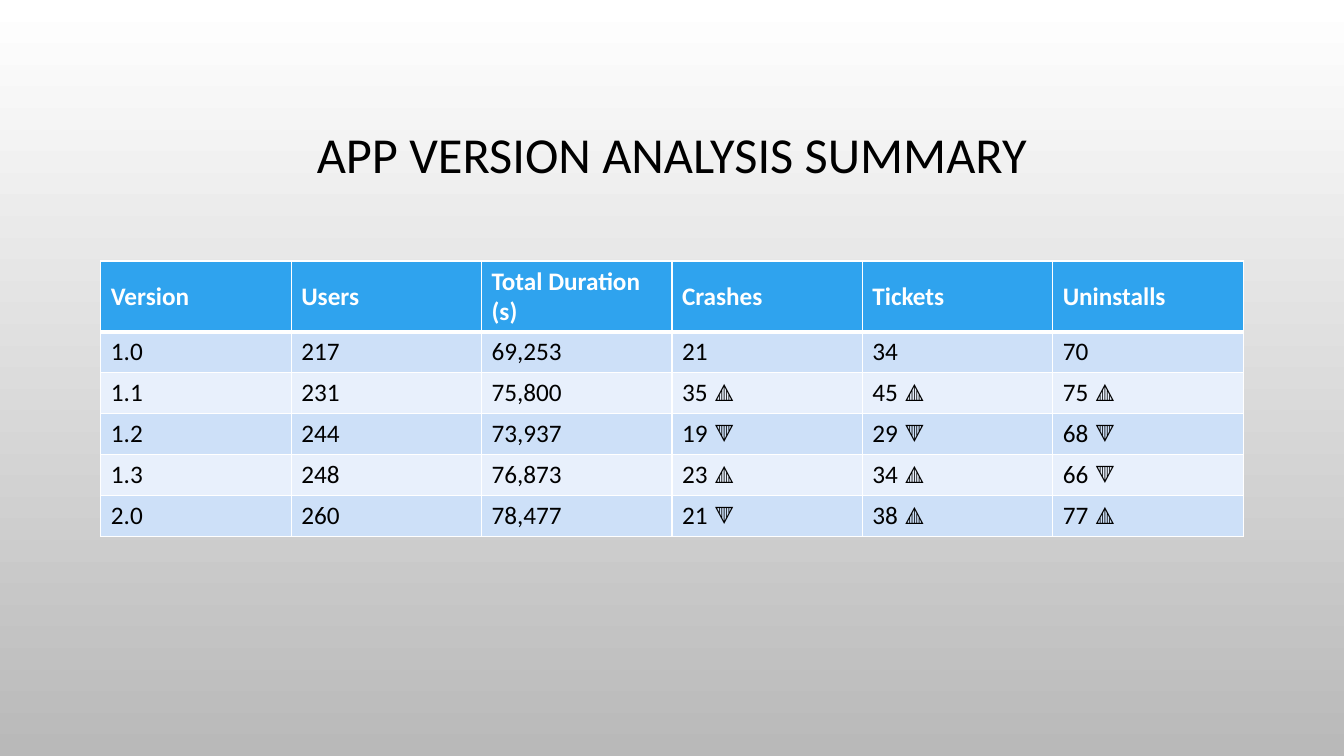
from lxml import etree
from pptx import Presentation
from pptx.dml.color import RGBColor as RGB
from pptx.enum.text import MSO_ANCHOR as ANCHOR, PP_ALIGN as ALIGN
from pptx.oxml.ns import qn
from pptx.util import Inches, Pt

COLORS = {
    "white": "FFFFFF",
    "gray": "B9B9B9",
    "black": "000000",
    "header": "2FA3EE",
    "odd": "CDE0F8",
    "even": "E8F0FC",
}
FONT = "Calibri"
LEFT, WIDTH = 1, 11.33
HEADER_H, ROW_H = 0.7, 0.406

ROWS = [
    ["Version", "Users", "Total Duration (s)", "Crashes", "Tickets", "Uninstalls"],
    ["1.0", "217", "69,253", "21", "34", "70"],
    ["1.1", "231", "75,800", "35 🔺", "45 🔺", "75 🔺"],
    ["1.2", "244", "73,937", "19 🔻", "29 🔻", "68 🔻"],
    ["1.3", "248", "76,873", "23 🔺", "34 🔺", "66 🔻"],
    ["2.0", "260", "78,477", "21 🔻", "38 🔺", "77 🔺"],
]


def rgb(name):
    return RGB.from_string(COLORS[name])


def add_run(p, text, size, color, bold=False):
    r = p.add_run()
    r.text = text
    r.font.name, r.font.size, r.font.bold = FONT, Pt(size), bold
    r.font.color.rgb = rgb(color)


def set_background(s):
    fill = s.background.fill
    fill.gradient()
    fill.gradient_angle = 270
    for stop, name, position in zip(fill.gradient_stops, ("white", "gray"), (0, 1)):
        stop.color.rgb = rgb(name)
        stop.position = position


def add_title(s, text):
    sp = s.shapes.add_textbox(Inches(LEFT), Inches(0.68), Inches(WIDTH), Inches(1.75))
    tf = sp.text_frame
    tf.word_wrap = True
    tf.vertical_anchor = ANCHOR.MIDDLE
    p = tf.paragraphs[0]
    p.alignment, p.line_spacing = ALIGN.CENTER, 0.9
    add_run(p, text, 36, "black")


def set_borders(cell, top, bottom):
    tc_pr = cell._tc.get_or_add_tcPr()
    for side, width in (("L", 1), ("R", 1), ("T", top), ("B", bottom)):
        ln = etree.SubElement(tc_pr, qn(f"a:ln{side}"), w=str(Pt(width)))
        fill = etree.SubElement(ln, qn("a:solidFill"))
        etree.SubElement(fill, qn("a:srgbClr"), val=COLORS["white"])


def fill_cell(cell, text, row):
    header = row == 0
    # Borders precede the fill in the cell properties
    set_borders(cell, top=3 if row == 1 else 1, bottom=3 if header else 1)
    cell.fill.solid()
    cell.fill.fore_color.rgb = rgb("header" if header else "odd" if row % 2 else "even")
    cell.vertical_anchor = ANCHOR.MIDDLE
    add_run(cell.text_frame.paragraphs[0], text, 18, "white" if header else "black", header)


def add_version_table(s, rows):
    height = HEADER_H + ROW_H * (len(rows) - 1)
    table = s.shapes.add_table(len(rows), len(rows[0]), Inches(LEFT), Inches(2.59),
                               Inches(WIDTH), Inches(height)).table
    for i, values in enumerate(rows):
        table.rows[i].height = Inches(ROW_H if i else HEADER_H)
        for j, text in enumerate(values):
            fill_cell(table.cell(i, j), text, i)


def main():
    prs = Presentation()
    prs.slide_width, prs.slide_height = Inches(13.33), Inches(7.5)
    s = prs.slides.add_slide(prs.slide_layouts[6])
    set_background(s)
    add_title(s, "APP VERSION ANALYSIS SUMMARY")
    add_version_table(s, ROWS)
    prs.save("out.pptx")


if __name__ == "__main__":
    main()
